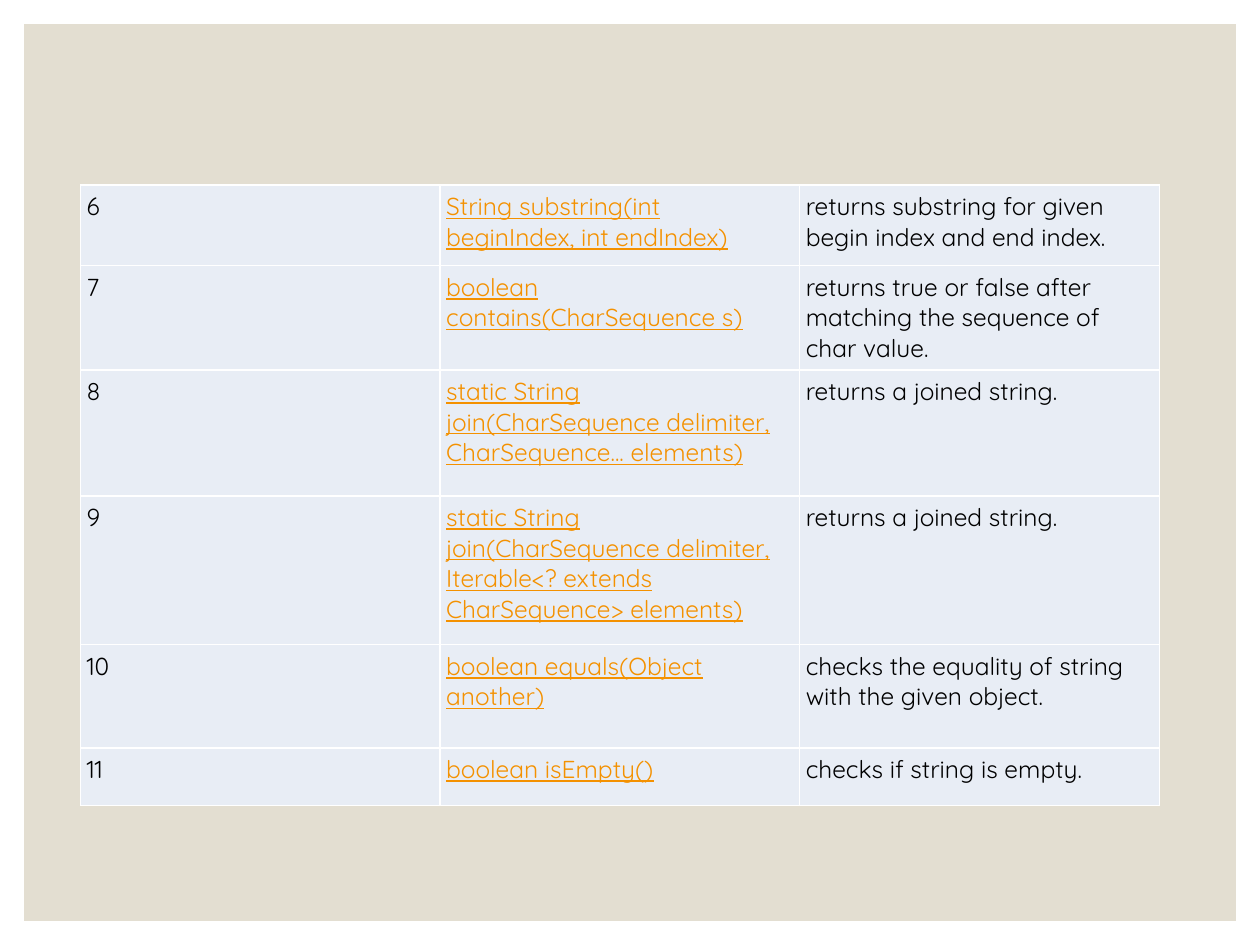
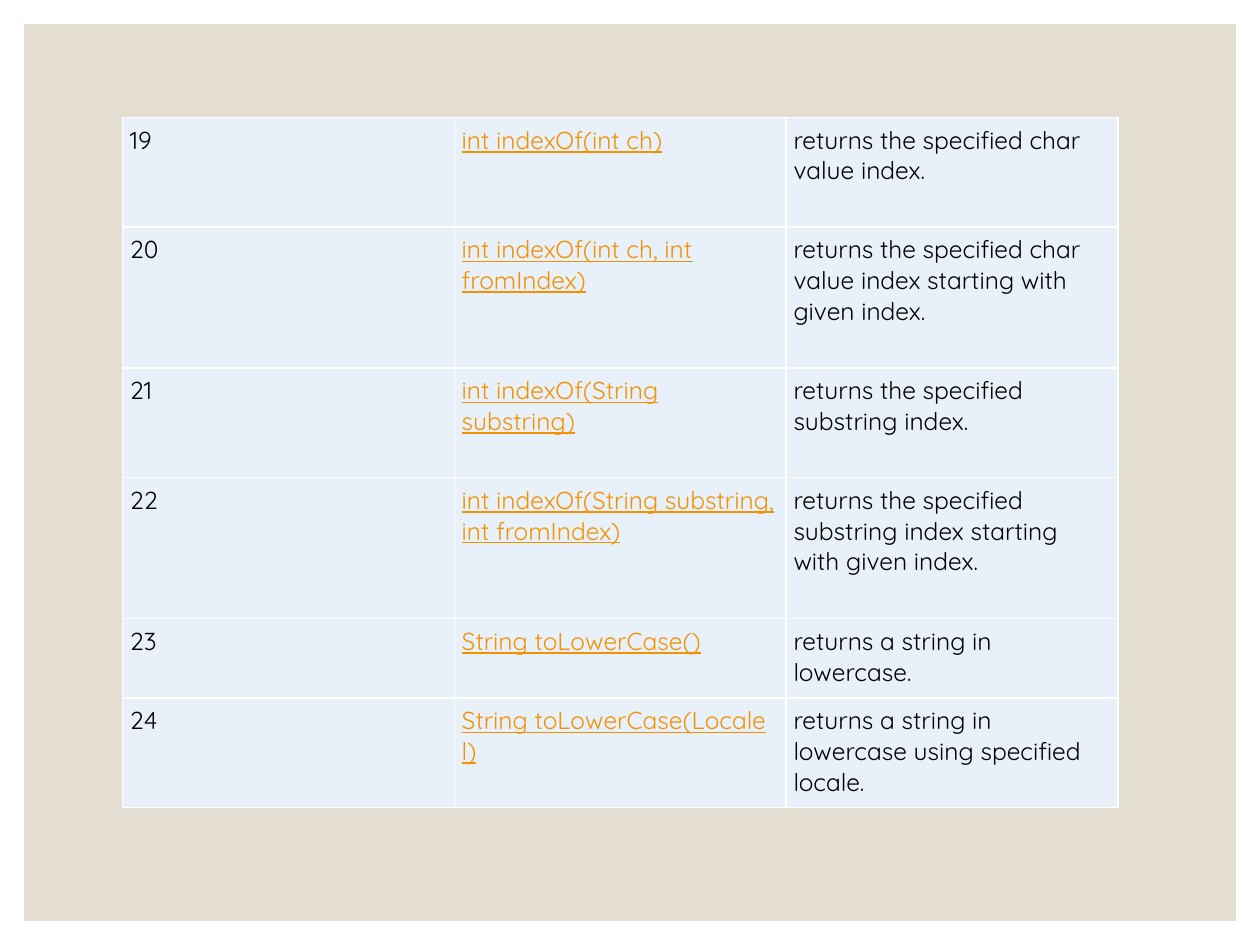
from lxml import etree
from pptx import Presentation
from pptx.dml.color import RGBColor
from pptx.enum import shapes
from pptx.oxml import ns
from pptx.util import Pt

WHITE = RGBColor(0xFF, 0xFF, 0xFF)
SAND = RGBColor(0xE3, 0xDE, 0xD1)
BLACK = RGBColor(0, 0, 0)
ORANGE = RGBColor(0xF4, 0x91, 0x00)
MIST = RGBColor(0xE8, 0xED, 0xF5)
SKY = RGBColor(0xE8, 0xF1, 0xFA)
FONT, SIZE = "Quicksand", 14
WIDE, HIGH, EDGE = 720, 540, 13.75

# Row height, number, method, meaning
FIRST = [
    (46, "6", "String substring(int beginIndex, int endIndex)",
     "returns substring for given begin index and end index."),
    (59, "7", "boolean contains(CharSequence s)",
     "returns true or false after matching the sequence of char value."),
    (72, "8", "static String join(CharSequence delimiter, CharSequence... elements)",
     "returns a joined string."),
    (85, "9", "static String join(CharSequence delimiter, "
     "Iterable<? extends CharSequence> elements)",
     "returns a joined string."),
    (59, "10", "boolean equals(Object another)",
     "checks the equality of string with the given object."),
    (33, "11", "boolean isEmpty()", "checks if string is empty."),
]
SECOND = [
    (62.6, "19", "int indexOf(int ch)", "returns the specified char value index."),
    (80.6, "20", "int indexOf(int ch, int fromIndex)",
     "returns the specified char value index starting with given index."),
    (62.6, "21", "int indexOf(String substring)",
     "returns the specified substring index."),
    (80.6, "22", "int indexOf(String substring, int fromIndex)",
     "returns the specified substring index starting with given index."),
    (45.4, "23", "String toLowerCase()", "returns a string in lowercase."),
    (62.6, "24", "String toLowerCase(Locale l)",
     "returns a string in lowercase using specified locale."),
]


def add_panel(slide):
    """Sand panel inside a white edge."""
    slide.background.fill.solid()
    slide.background.fill.fore_color.rgb = WHITE
    panel = slide.shapes.add_shape(
        shapes.MSO_SHAPE.RECTANGLE, Pt(EDGE), Pt(EDGE),
        Pt(WIDE - 2 * EDGE), Pt(HIGH - 2 * EDGE))
    panel.shadow.inherit = False
    panel.fill.solid()
    panel.fill.fore_color.rgb = SAND
    panel.line.fill.background()


def set_border(cell):
    """White one-point rule on all four sides, placed before the fill."""
    props = cell._tc.get_or_add_tcPr()
    for i, side in enumerate(("lnL", "lnR", "lnT", "lnB")):
        line = etree.Element(ns.qn("a:" + side), w=str(Pt(1)))
        fill = etree.SubElement(line, ns.qn("a:solidFill"))
        etree.SubElement(fill, ns.qn("a:srgbClr"), val=str(WHITE))
        props.insert(i, line)


def fill_cell(cell, words, tint, inset, is_link):
    cell.fill.solid()
    cell.fill.fore_color.rgb = tint
    cell.margin_left = cell.margin_right = Pt(inset)
    cell.margin_top = cell.margin_bottom = Pt(inset)
    set_border(cell)
    cell.text_frame.text = words
    font = cell.text_frame.paragraphs[0].runs[0].font
    font.name, font.size = FONT, Pt(SIZE)
    font.color.rgb = ORANGE if is_link else BLACK
    font.underline = is_link


def add_methods(slide, box, rows, tint, inset):
    """Three equal columns; the method column looks like links."""
    left, top, width = box
    high = sum(row[0] for row in rows)
    frame = slide.shapes.add_table(
        len(rows), 3, Pt(left), Pt(top), Pt(width), Pt(high))
    table = frame.table
    table.first_row = table.horz_banding = False
    for col in table.columns:
        col.width = Pt(width / 3)
    for r, (tall, *texts) in enumerate(rows):
        table.rows[r].height = Pt(tall)
        for c, words in enumerate(texts):
            fill_cell(table.cell(r, c), words, tint, inset, c == 1)


def main():
    deck = Presentation()
    deck.slide_width, deck.slide_height = Pt(WIDE), Pt(HIGH)
    blank = deck.slide_layouts[6]
    for box, rows, tint, inset in (
        ((46, 105.8, 616.5), FIRST, MIST, 3.5),
        ((70, 67, 568.8), SECOND, SKY, 4.3),
    ):
        slide = deck.slides.add_slide(blank)
        add_panel(slide)
        add_methods(slide, box, rows, tint, inset)
    deck.save("out.pptx")


if __name__ == "__main__":
    main()
